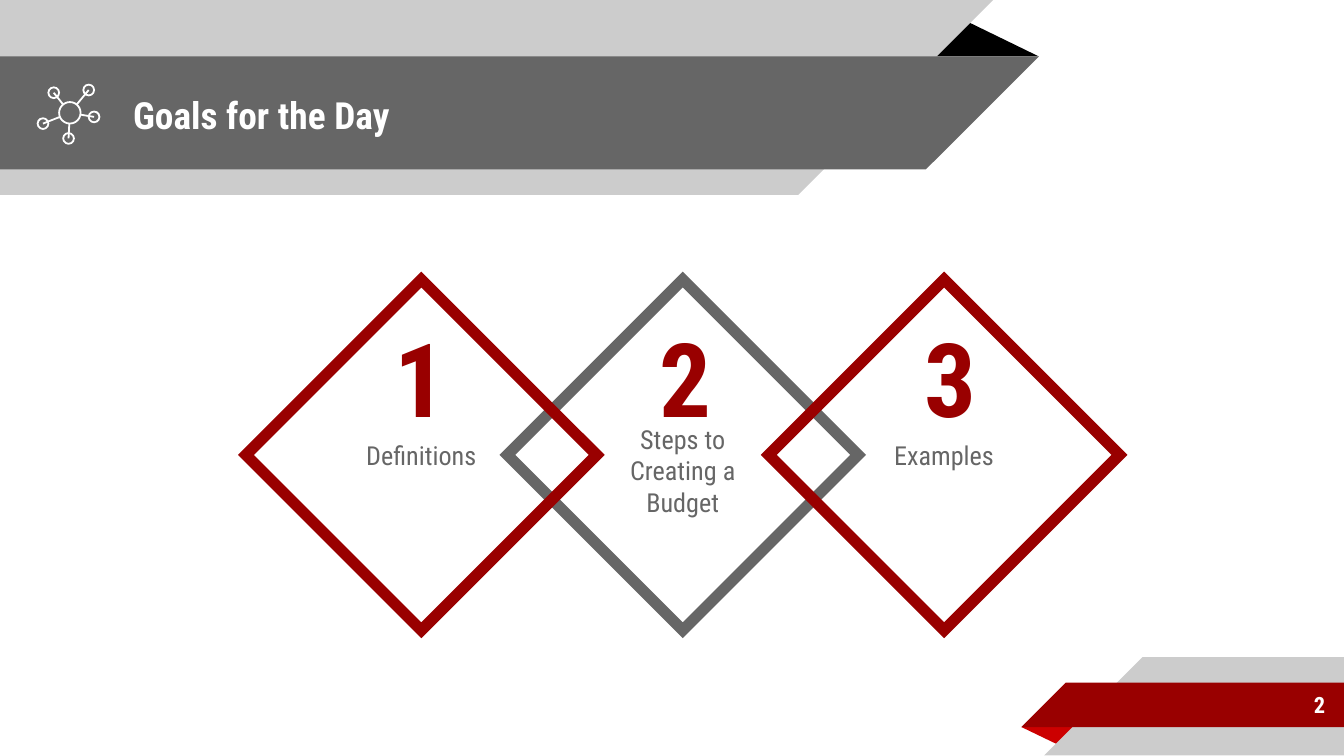
from dataclasses import dataclass
from math import hypot

from lxml.etree import SubElement
from pptx import Presentation
from pptx.dml.color import RGBColor
from pptx.enum.shapes import MSO_CONNECTOR, MSO_SHAPE
from pptx.enum.text import MSO_ANCHOR, MSO_AUTO_SIZE, PP_ALIGN
from pptx.oxml.ns import qn
from pptx.util import Inches, Pt


@dataclass(frozen=True)
class Theme:
    font: str = "Roboto Condensed"
    white: str = "FFFFFF"
    black: str = "000000"
    light: str = "CCCCCC"
    dark: str = "666666"
    red: str = "990000"
    bright_red: str = "CC0000"
    title_size: int = 20
    label_size: int = 14
    number_size: int = 55
    page_size: int = 12
    frame_width: float = 6
    icon_width: float = 0.96


@dataclass(frozen=True)
class Box:
    left: float
    top: float
    width: float
    height: float

    def inside(self, left, top, width, height):
        return Box(self.left + left, self.top + top, width, height)

    def lengths(self):
        return [Inches(v) for v in (self.left, self.top, self.width, self.height)]


THEME = Theme()


def paint(shape, fill=None, line=None, width=1):
    shape.shadow.inherit = False
    if fill:
        shape.fill.solid()
        shape.fill.fore_color.rgb = RGBColor.from_string(fill)
    else:
        shape.fill.background()
    if line:
        shape.line.color.rgb = RGBColor.from_string(line)
        shape.line.width = Pt(width)
        # Sharp corners
        SubElement(shape._element.spPr.find(qn("a:ln")), qn("a:miter"), lim="800000")
    else:
        shape.line.fill.background()


def write(shape, text, size, color, bold=False, align=PP_ALIGN.LEFT,
          anchor=MSO_ANCHOR.MIDDLE, top_margin=0.1):
    frame = shape.text_frame
    frame.word_wrap = True
    frame.auto_size = MSO_AUTO_SIZE.NONE
    frame.vertical_anchor = anchor
    frame.margin_left = frame.margin_right = frame.margin_bottom = Inches(0.1)
    frame.margin_top = Inches(top_margin)
    para = frame.paragraphs[0]
    para.text = text
    para.alignment = align
    para.font.name = THEME.font
    para.font.size = Pt(size)
    para.font.bold = bold
    para.font.color.rgb = RGBColor.from_string(color)


def add_band(page, box, top_width, bottom_width, color, from_right=False):
    """Band flush with one side of the box, slanted at the other end."""
    flush, sign = (box.left + box.width, -1) if from_right else (box.left, 1)
    bottom = box.top + box.height
    corners = [
        (flush, box.top),
        (flush + sign * top_width, box.top),
        (flush + sign * bottom_width, bottom),
        (flush, bottom),
    ]
    start, *others = [(Inches(x), Inches(y)) for x, y in corners]
    builder = page.shapes.build_freeform(*start)
    builder.add_line_segments(others)
    paint(builder.convert_to_shape(), color)


def add_fold(page, box, color, rotation=0):
    fold = page.shapes.add_shape(MSO_SHAPE.ISOSCELES_TRIANGLE, *box.lengths())
    fold.adjustments[0] = 0.324
    fold.rotation = rotation
    paint(fold, color)


def add_header(page, box, text):
    add_fold(page, box.inside(6.88, 0.14, 0.85, 0.28), THEME.black)
    add_band(page, box, 7.39, 5.94, THEME.light)
    add_band(page, box.inside(0, 0.42, box.width, 0.84), 7.73, 6.89, THEME.dark)
    add_icon(page, box.inside(0.29, 0.63, 0.44, 0.43))
    # Title, brought in front of the bands
    title = page.shapes.title
    title.left, title.top, title.width, title.height = box.inside(
        0.89, 0.43, 5.75, 0.84).lengths()
    write(title, text, THEME.title_size, THEME.white, bold=True)
    page.shapes._spTree.append(title._element)


def add_ring(page, x, y, radius):
    box = Box(x - radius, y - radius, 2 * radius, 2 * radius)
    ring = page.shapes.add_shape(MSO_SHAPE.OVAL, *box.lengths())
    paint(ring, line=THEME.white, width=THEME.icon_width)


def add_icon(page, box):
    """Hub with five nodes on spokes."""
    hub_x, hub_y, hub_radius = box.left + 0.23, box.top + 0.21, 0.08
    add_ring(page, hub_x, hub_y, hub_radius)
    for x, y in [(0.37, 0.04), (0.11, 0.06), (0.03, 0.29), (0.22, 0.4), (0.41, 0.24)]:
        node_x, node_y = box.left + x, box.top + y
        add_ring(page, node_x, node_y, 0.04)
        # Spoke from the rim of the hub to the middle of the node
        share = hub_radius / hypot(node_x - hub_x, node_y - hub_y)
        spoke = page.shapes.add_connector(
            MSO_CONNECTOR.STRAIGHT,
            Inches(hub_x + share * (node_x - hub_x)),
            Inches(hub_y + share * (node_y - hub_y)),
            Inches(node_x), Inches(node_y))
        spoke.line.color.rgb = RGBColor.from_string(THEME.white)
        spoke.line.width = Pt(THEME.icon_width)
        SubElement(spoke._element.spPr, qn("a:effectLst"))


def add_goals(page, box, goals):
    """Interlocking diamonds; the even ones lie behind the odd ones."""
    side = box.height
    pitch = (box.width - side) / (len(goals) - 1)
    numbered = list(enumerate(goals))
    for index, label in numbered[1::2] + numbered[::2]:
        behind = index % 2 == 1
        diamond = page.shapes.add_shape(
            MSO_SHAPE.DIAMOND, *box.inside(index * pitch, 0, side, side).lengths())
        paint(diamond, THEME.white if behind else None,
              THEME.dark if behind else THEME.red, THEME.frame_width)
        # The long label sits one line lower, below its number
        write(diamond, label, THEME.label_size, THEME.dark, align=PP_ALIGN.CENTER,
              top_margin=0.33 if behind else 0.1)
    for index, _ in numbered:
        number = page.shapes.add_textbox(
            *box.inside(1.01 + index * 1.97, 0.18, 0.54, 1.1).lengths())
        write(number, str(index + 1), THEME.number_size, THEME.red, bold=True,
              anchor=MSO_ANCHOR.BOTTOM)


def add_footer(page, box, number):
    add_fold(page, box.inside(0, 0.52, 0.43, 0.14), THEME.bright_red, rotation=180)
    add_band(page, box, 1.5, 2.23, THEME.light, from_right=True)
    add_band(page, box.inside(0, 0.19, box.width, 0.33), 2.07, 2.4, THEME.red,
             from_right=True)
    label = page.shapes.add_textbox(*box.inside(0.73, 0.18, 1.63, 0.35).lengths())
    write(label, number, THEME.page_size, THEME.white, bold=True, align=PP_ALIGN.RIGHT)


def main():
    deck = Presentation()
    deck.slide_width, deck.slide_height = Inches(10), Inches(10 * 9 / 16)
    page = deck.slides.add_slide(deck.slide_layouts[5])
    add_header(page, Box(0, 0, 7.73, 1.45), "Goals for the Day")
    add_goals(page, Box(1.83, 2.08, 6.5, 2.61),
              ["Definitions", "Steps to Creating a Budget", "Examples"])
    add_footer(page, Box(7.6, 4.89, 2.4, 0.73), "2")
    deck.save("out.pptx")


if __name__ == "__main__":
    main()
